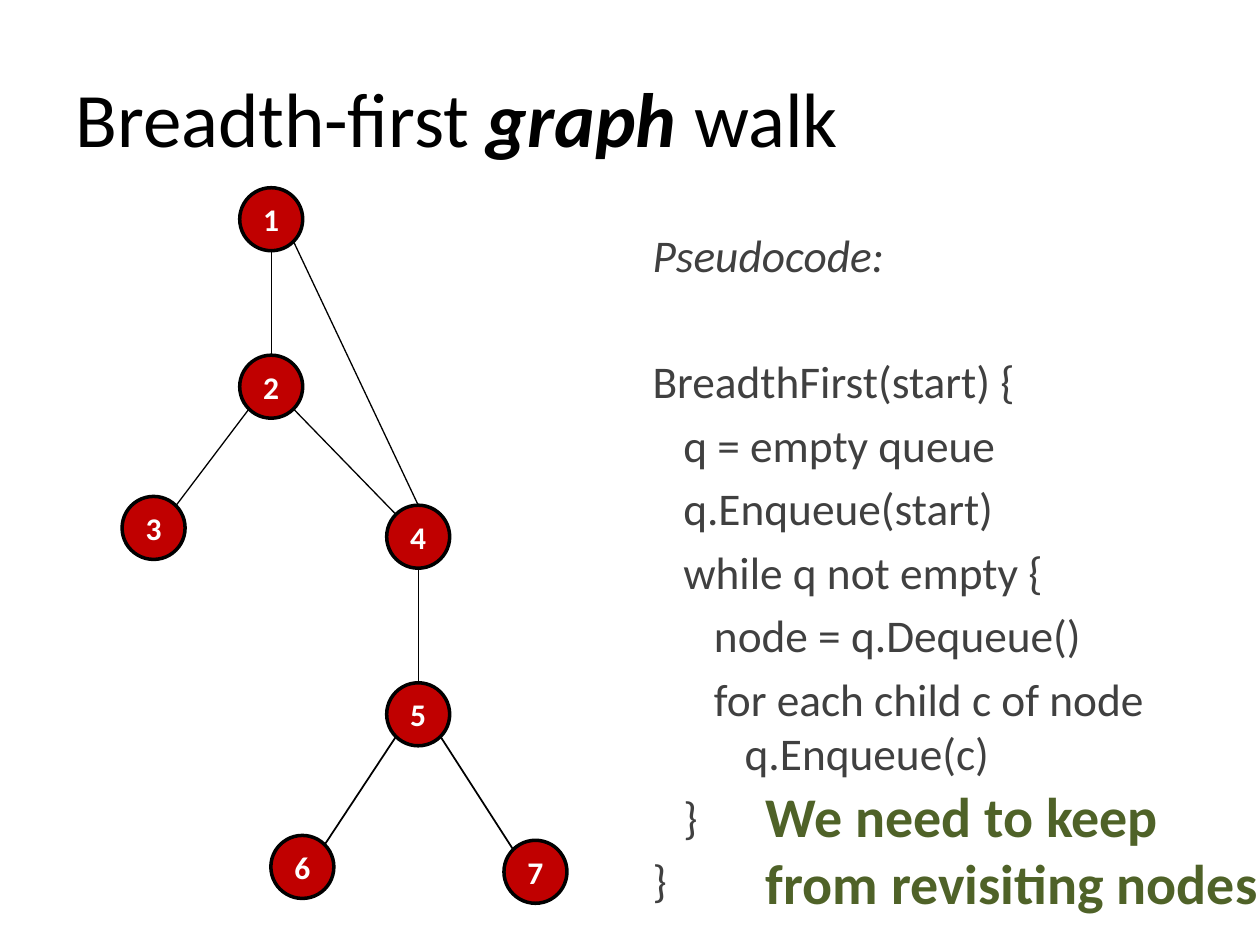
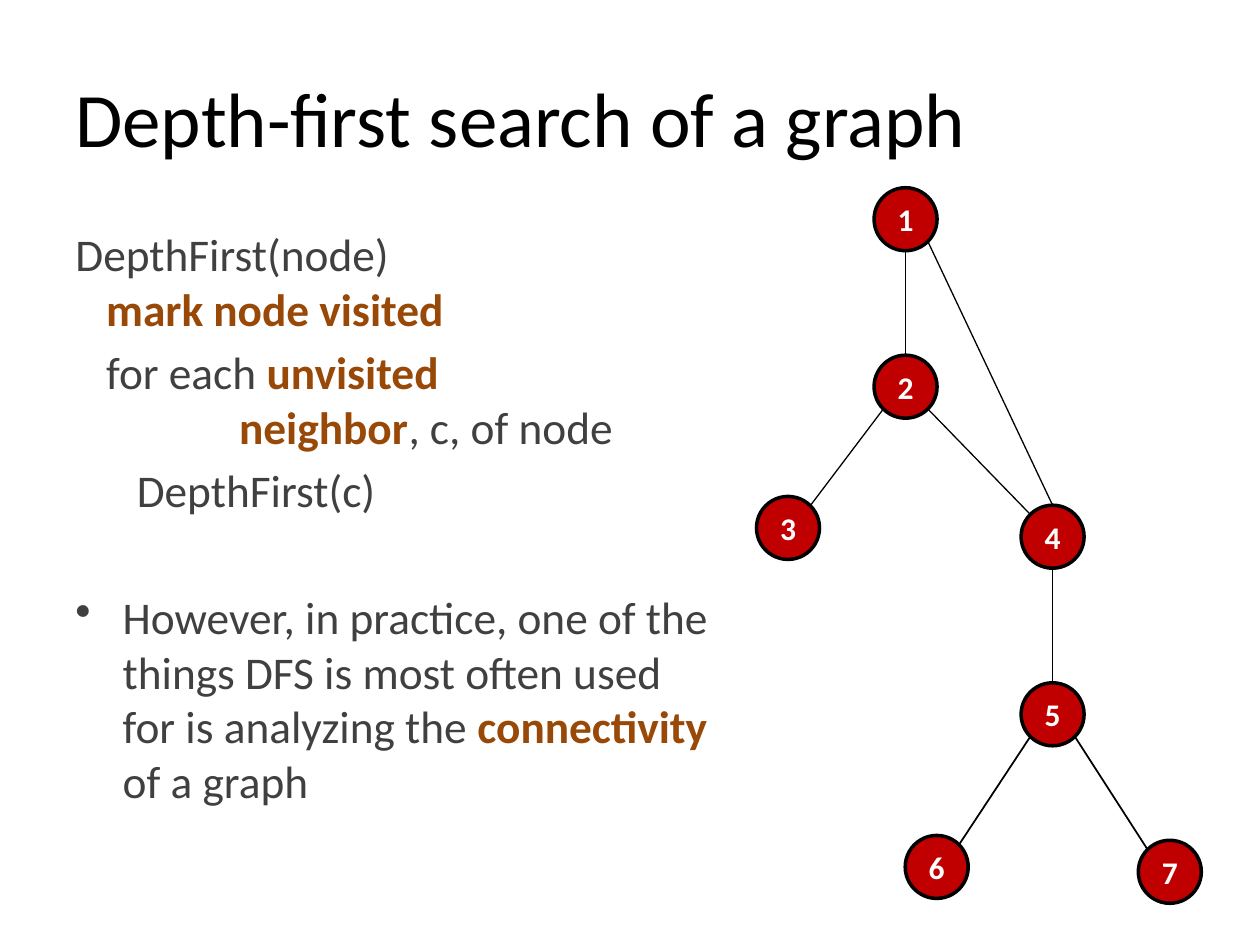
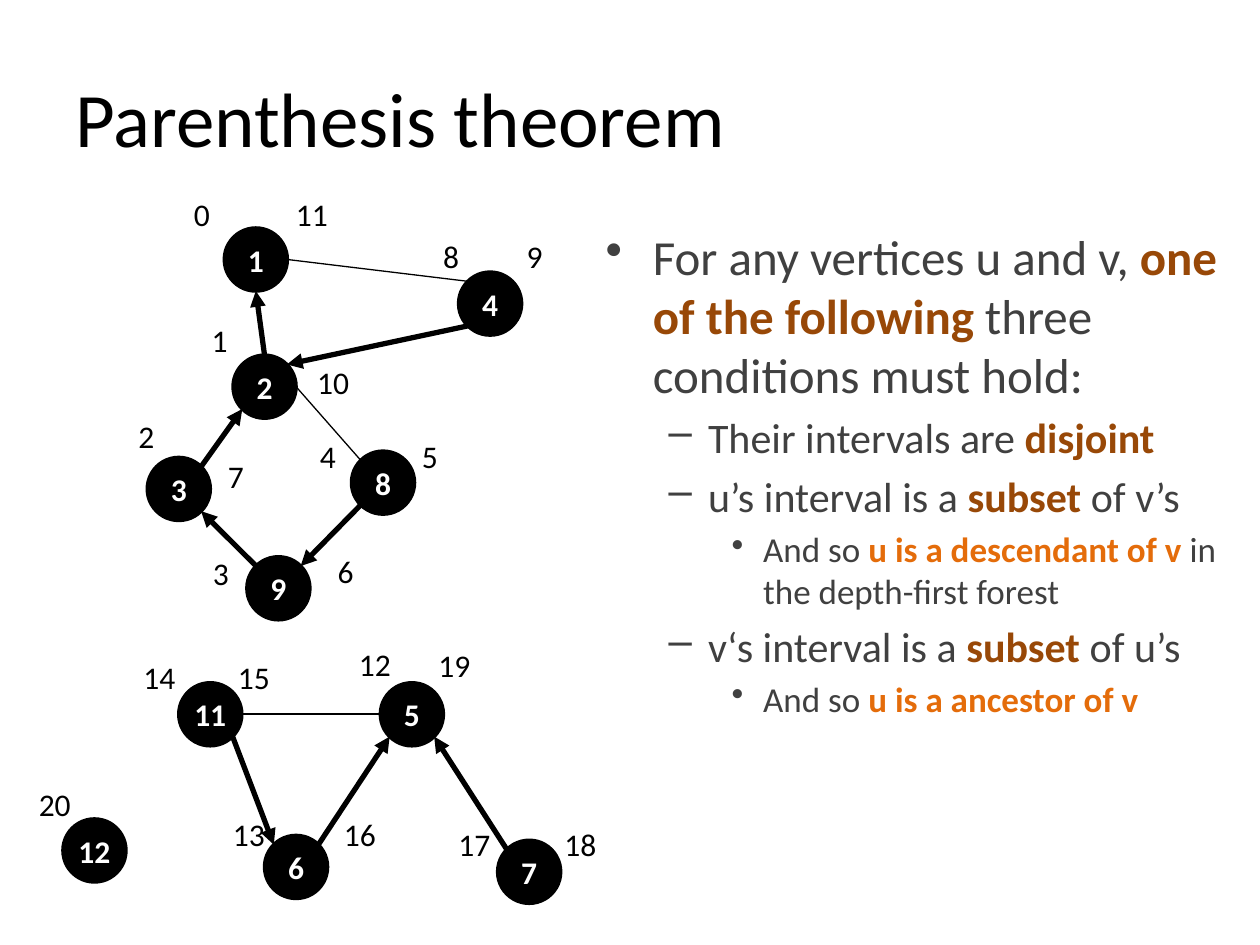
import dataclasses
import math

import lxml.etree
import pptx
import pptx.dml.color
import pptx.enum.shapes
import pptx.enum.text
import pptx.oxml.ns
import pptx.util

Pt = pptx.util.Pt


@dataclasses.dataclass(frozen=True)
class Theme:
    font: str = "Calibri"
    ink: str = "000000"
    paper: str = "FFFFFF"
    body: str = "404040"
    accent: str = "984807"
    bright: str = "E46C0A"
    warning: str = "4F6228"
    tree_node: str = "C00000"
    title_size: float = 44
    callout_size: float = 32
    code_size: float = 25.9
    label_size: float = 18
    level_sizes: tuple = (28, 24, 20)


@dataclasses.dataclass(frozen=True)
class Line:
    """One paragraph; each piece is plain text or a (text, style) pair."""
    pieces: list
    size: float
    level: int | None = None
    after_break: bool = False


THEME = Theme()
# Run styles: colour, bold, italic
STYLES = {
    "body": (THEME.body, False, False),
    "label": (THEME.ink, False, False),
    "title emphasis": (THEME.ink, True, True),
    "heading": (THEME.body, False, True),
    "key": (THEME.accent, True, False),
    "relation": (THEME.bright, True, False),
    "node": (THEME.paper, True, False),
    "warning": (THEME.warning, True, False),
}
# Bullet levels: character, left margin, hanging indent
BULLETS = (("•", 27, -27), ("–", 58.5, -22.5), ("•", 90, -18))

SLIDE_SIZE = (720, 540)
TITLE_BOX = (36, 21.6, 648, 90)
NODE_SIZE = 36
LABEL_HEIGHT = 29
SIDES = {"E": 0, "SE": 45, "S": 90, "SW": 135, "W": 180, "NW": 225, "N": 270, "NE": 315}

# Content: text
BREADTH_TITLE = ["Breadth-first ", ("graph", "title emphasis"), " walk"]
BREADTH_CODE = [
    Line([("Pseudocode:", "heading")], THEME.code_size),
    Line(["BreadthFirst(start) {"], THEME.code_size, after_break=True),
    *(Line([code], THEME.code_size) for code in (
        "   q = empty queue",
        "   q.Enqueue(start)",
        "   while q not empty {",
        "      node = q.Dequeue()",
        "      for each child c of node\n         q.Enqueue(c)",
        "   }",
        "}",
    )),
]
REVISIT_WARNING = ["We need to keep", "from revisiting nodes"]

DEPTH_TITLE = ["Depth-first search of a graph"]
DEPTH_TEXT = [
    Line(["DepthFirst(node)\n   ", ("mark node visited", "key")], THEME.code_size),
    Line(["   for each ", ("unvisited\n                neighbor", "key"), ", c, of node"],
         THEME.code_size),
    Line(["      DepthFirst(c)"], THEME.code_size),
    Line(["However, in practice, one of the things DFS is most often used for is analyzing the ",
          ("connectivity ", "key"), "of a graph"], THEME.code_size, level=0, after_break=True),
]

THEOREM_TITLE = ["Parenthesis theorem"]
THEOREM_TEXT = [Line(pieces, THEME.level_sizes[level], level) for level, pieces in (
    (0, ["For any vertices u and v, ", ("one of the following ", "key"),
         "three conditions must hold:"]),
    (1, ["Their intervals are ", ("disjoint", "key")]),
    (1, ["u’s interval is a ", ("subset ", "key"), "of v’s"]),
    (2, ["And so ", ("u is a descendant of v ", "relation"), "in the depth-first forest"]),
    (1, ["v‘s interval is a ", ("subset ", "key"), "of u’s"]),
    (2, ["And so ", ("u is a ancestor of v", "relation")]),
)]

# Content: graphs, as node centres and (start, side, end, side, width, arrow at end)
TREE_NODES = {
    1: (155, 125.3), 2: (155, 221), 3: (87.8, 301.7), 4: (239, 306.7),
    5: (239, 408.2), 6: (172.8, 495.4), 7: (306, 498.2),
}
TREE_EDGES = [
    (1, "S", 2, "N", 0.75, False),
    (1, "SE", 4, "N", 0.75, False),
    (2, "SW", 3, "NE", 0.75, False),
    (2, "SE", 4, "NW", 0.75, False),
    (4, "S", 5, "N", 0.75, False),
    (5, "SW", 6, "NE", 1, False),
    (5, "SE", 7, "NW", 1, False),
]
TREE_SHIFT = 362.5

FOREST_NODES = {
    1: (146.2, 148.3), 2: (151.2, 221), 3: (102.2, 279.4), 4: (280.1, 173.5),
    5: (235.4, 408.2), 6: (169.2, 495.4), 7: (302.4, 498.2), 8: (218.9, 275.8),
    9: (159.1, 336.2), 11: (120.2, 408.2), 12: (54, 486),
}
FOREST_EDGES = [
    (2, "N", 1, "S", 3, True),
    (4, "SW", 2, "NE", 3, True),
    (3, "NE", 2, "SW", 3, True),
    (9, "NW", 3, "SE", 3, True),
    (8, "SW", 9, "NE", 3, True),
    (11, "SE", 6, "NW", 3, True),
    (6, "NE", 5, "SW", 3, True),
    (7, "NW", 5, "SE", 3, True),
    (1, "E", 4, "NW", 0.75, False),
    (2, "E", 8, "NW", 0.75, False),
    (11, "E", 5, "W", 1, False),
]
# Top left corner of each visit time; the index is the time
VISIT_TIMES = [
    (103.7, 108), (113.8, 180), (72, 234.7), (114.5, 313.2), (175.7, 246.2),
    (234, 246.2), (185.8, 311.8), (123.1, 257.8), (246.2, 131.8), (293.8, 131.8),
    (174.2, 203.8), (162, 108), (198, 365), (126, 462.2), (74.9, 372.2),
    (128.9, 372.2), (189.4, 462.2), (254.9, 468), (315.4, 468), (243.4, 365.8),
    (15.1, 445),
]


def rgb(colour):
    return pptx.dml.color.RGBColor.from_string(colour)


# Text
def format_run(run, style, size):
    colour, run.font.bold, run.font.italic = STYLES[style]
    run.font.color.rgb = rgb(colour)
    run.font.name = THEME.font
    run.font.size = Pt(size)


def add_pieces(paragraph, pieces, size, base_style):
    for piece in pieces:
        text, style = (piece, base_style) if isinstance(piece, str) else piece
        for index, part in enumerate(text.split("\n")):
            if index:
                paragraph.add_line_break()
            run = paragraph.add_run()
            run.text = part
            format_run(run, style, size)


def add_bullet(paragraph, level):
    character, margin, indent = BULLETS[level]
    paragraph.level = level
    properties = paragraph._p.get_or_add_pPr()
    properties.set("marL", str(Pt(margin)))
    properties.set("indent", str(Pt(indent)))
    bullet = lxml.etree.SubElement(properties, pptx.oxml.ns.qn("a:buChar"))
    bullet.set("char", character)


def add_text_box(slide, box, lines, base_style="body", wrap=True, spaced=True):
    text_frame = slide.shapes.add_textbox(*map(Pt, box)).text_frame
    text_frame.word_wrap = wrap
    for index, line in enumerate(lines):
        paragraph = text_frame.add_paragraph() if index else text_frame.paragraphs[0]
        if line.level is not None:
            add_bullet(paragraph, line.level)
        if index and spaced:
            gap = 0.2 * line.size
            paragraph.space_before = Pt(2 * gap + 1.2 * line.size if line.after_break else gap)
        add_pieces(paragraph, line.pieces, line.size, base_style)
    return text_frame


def add_titled_slide(presentation, title):
    slide = presentation.slides.add_slide(presentation.slide_layouts[6])
    text_frame = add_text_box(slide, TITLE_BOX, [Line(title, THEME.title_size)], "label")
    text_frame.vertical_anchor = pptx.enum.text.MSO_ANCHOR.MIDDLE
    return slide


# Graphs
def side_point(centre, side):
    angle = math.radians(SIDES[side])
    radius = NODE_SIZE / 2
    return centre[0] + radius * math.cos(angle), centre[1] + radius * math.sin(angle)


def add_edge(slide, start, end, width, arrow):
    connector = slide.shapes.add_connector(
        pptx.enum.shapes.MSO_CONNECTOR.STRAIGHT, *map(Pt, (*start, *end)))
    connector.line.color.rgb = rgb(THEME.ink)
    connector.line.width = Pt(width)
    if arrow:
        tail = lxml.etree.SubElement(connector.line._get_or_add_ln(),
                                     pptx.oxml.ns.qn("a:tailEnd"))
        tail.set("type", "triangle")
    lxml.etree.SubElement(connector._element.spPr, pptx.oxml.ns.qn("a:effectLst"))


def add_node(slide, name, centre, fill):
    left, top = (value - NODE_SIZE / 2 for value in centre)
    shape = slide.shapes.add_shape(pptx.enum.shapes.MSO_SHAPE.OVAL,
                                   *map(Pt, (left, top, NODE_SIZE, NODE_SIZE)))
    shape.shadow.inherit = False
    shape.fill.solid()
    shape.fill.fore_color.rgb = rgb(fill)
    shape.line.color.rgb = rgb(THEME.ink)
    shape.line.width = Pt(2)
    text_frame = shape.text_frame
    text_frame.word_wrap = False
    text_frame.vertical_anchor = pptx.enum.text.MSO_ANCHOR.MIDDLE
    text_frame.margin_left = text_frame.margin_right = 0
    text_frame.text = str(name)
    paragraph = text_frame.paragraphs[0]
    paragraph.alignment = pptx.enum.text.PP_ALIGN.CENTER
    format_run(paragraph.runs[0], "node", THEME.label_size)


def add_graph(slide, nodes, edges, fill, shift=0):
    centres = {name: (x + shift, y) for name, (x, y) in nodes.items()}
    for name, centre in centres.items():
        add_node(slide, name, centre, fill)
    for start, start_side, end, end_side, width, arrow in edges:
        add_edge(slide, side_point(centres[start], start_side),
                 side_point(centres[end], end_side), width, arrow)


# Slides
def build_breadth_first(presentation):
    slide = add_titled_slide(presentation, BREADTH_TITLE)
    add_text_box(slide, (365.8, 126, 318.2, 356.4), BREADTH_CODE)
    warning = [Line([text], THEME.callout_size) for text in REVISIT_WARNING]
    add_text_box(slide, (430.5, 443, 298, 85), warning, "warning", wrap=False, spaced=False)
    add_graph(slide, TREE_NODES, TREE_EDGES, THEME.tree_node)


def build_depth_first(presentation):
    slide = add_titled_slide(presentation, DEPTH_TITLE)
    add_text_box(slide, (36, 126, 378, 311.8), DEPTH_TEXT)
    add_graph(slide, TREE_NODES, TREE_EDGES, THEME.tree_node, TREE_SHIFT)


def build_parenthesis_theorem(presentation):
    slide = add_titled_slide(presentation, THEOREM_TITLE)
    add_text_box(slide, (339, 126, 381, 356.4), THEOREM_TEXT)
    add_graph(slide, FOREST_NODES, FOREST_EDGES, THEME.ink)
    for time, (left, top) in enumerate(VISIT_TIMES):
        width = 24 if time < 10 else 33
        add_text_box(slide, (left, top, width, LABEL_HEIGHT),
                     [Line([str(time)], THEME.label_size)], "label", wrap=False)


def main():
    presentation = pptx.Presentation()
    presentation.slide_width, presentation.slide_height = map(Pt, SLIDE_SIZE)
    build_breadth_first(presentation)
    build_depth_first(presentation)
    build_parenthesis_theorem(presentation)
    presentation.save("out.pptx")


if __name__ == "__main__":
    main()
